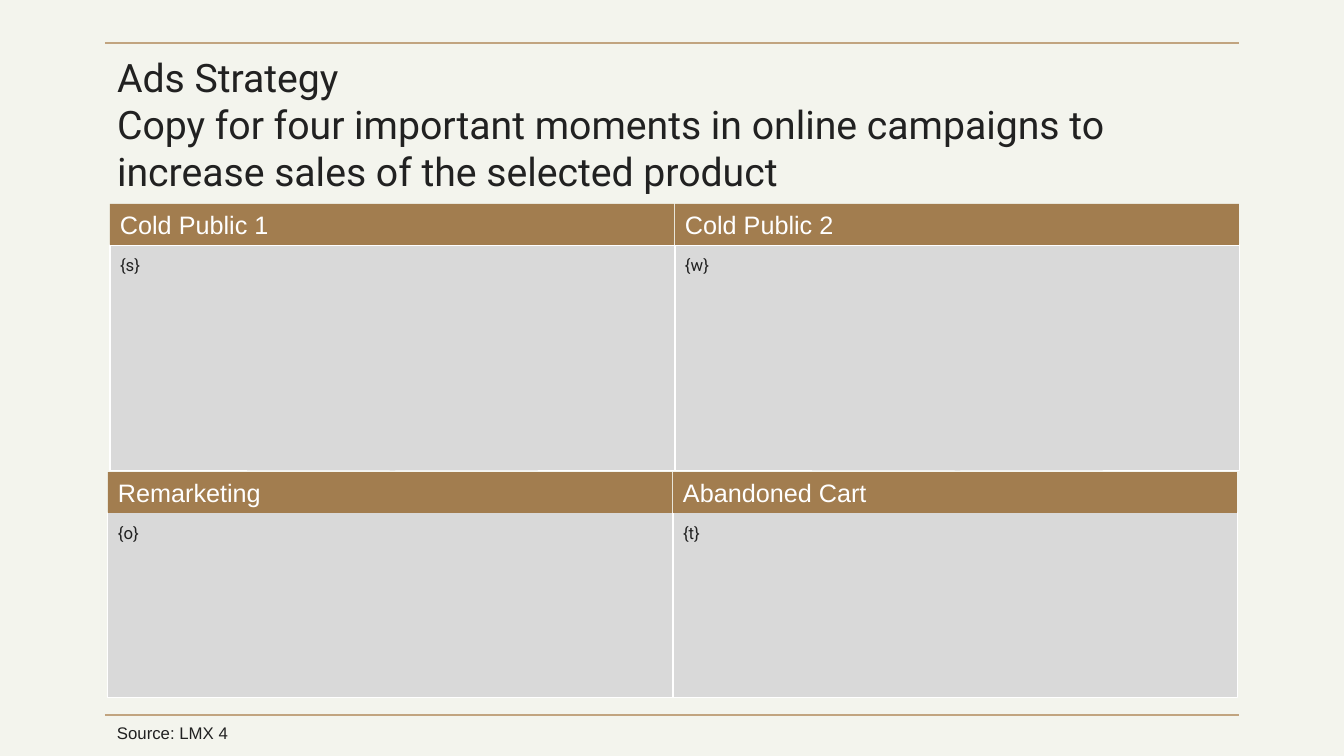
from lxml import etree
from pptx import Presentation, util as u
from pptx.dml import color
from pptx.enum import shapes, text
from pptx.oxml import ns

SCALE = 914400 / 100.8
INK, WHITE, BROWN, GREY, GOLD = "212121", "FFFFFF", "A27D4F", "D9D9D9", "C1A480"


def px(length):
    return u.Emu(round(length * SCALE))


def rgb(value):
    return color.RGBColor.from_string(value)


class SlideBuilder:
    def __init__(self, page, background):
        self.page = page
        page.background.fill.solid()
        page.background.fill.fore_color.rgb = rgb(background)

    def rule(self, left, right, top):
        line = self.page.shapes.add_connector(
            shapes.MSO_CONNECTOR.STRAIGHT, px(left), px(top), px(right), px(top))
        line.line.color.rgb = rgb(GOLD)
        line.line.width = u.Pt(1.5)
        etree.SubElement(line._element.spPr, ns.qn("a:effectLst"))

    def set_text(self, box, words, size, font, ink, insets, anchor=text.MSO_ANCHOR.TOP):
        frame = box.text_frame
        frame.word_wrap = True
        frame.vertical_anchor = anchor
        frame.margin_left = frame.margin_right = px(insets[0])
        frame.margin_top = frame.margin_bottom = px(insets[1])
        para = frame.paragraphs[0]
        para.text = words
        para.alignment = text.PP_ALIGN.LEFT
        para.font.size = u.Pt(size)
        para.font.name = font
        para.font.color.rgb = rgb(ink)

    def label(self, area, words, size, font, insets, anchor=text.MSO_ANCHOR.TOP):
        box = self.page.shapes.add_textbox(*map(px, area))
        self.set_text(box, words, size, font, INK, insets, anchor)

    def panel(self, area, fill, words, size, font, ink, insets, border=None):
        box = self.page.shapes.add_shape(shapes.MSO_SHAPE.RECTANGLE, *map(px, area))
        box.shadow.inherit = False
        box.fill.solid()
        box.fill.fore_color.rgb = rgb(fill)
        if border:
            box.line.color.rgb = rgb(border)
            box.line.width = u.Pt(0.75)
        else:
            box.line.fill.background()
        self.set_text(box, words, size, font, ink, insets)


deck = Presentation()
deck.slide_width, deck.slide_height = px(1344), px(756)
slide = SlideBuilder(deck.slides.add_slide(deck.slide_layouts[6]), "F3F4ED")

for rule_top in (43, 715):
    slide.rule(105, 1239, rule_top)
slide.label((107, 718, 551, 30), "Source: LMX 4", 12, "Arial", (10, 5))
slide.label((104, 88, 1132, 71),
            "Ads Strategy\vCopy for four important moments in online campaigns "
            "to increase sales of the selected product",
            28, "Roboto", (13, 13), text.MSO_ANCHOR.MIDDLE)

COLUMN, HEADER = 565, 41
moment_rows = [
    (110, 204, 226, [("Cold Public 1", "{s}"), ("Cold Public 2", "{w}")]),
    (108, 472, 185, [("Remarketing", "{o}"), ("Abandoned Cart", "{t}")]),
]
for left, top, height, moments in moment_rows:
    for column, (heading, copy_text) in enumerate(moments):
        x = left + column * COLUMN
        slide.panel((x, top + HEADER, COLUMN, height), GREY, copy_text,
                    12, "Roboto", INK, (10, 10), WHITE)
        slide.panel((x, top, COLUMN - 1, HEADER), BROWN, heading,
                    18, "Arial", WHITE, (10, 5))

deck.save("out.pptx")
